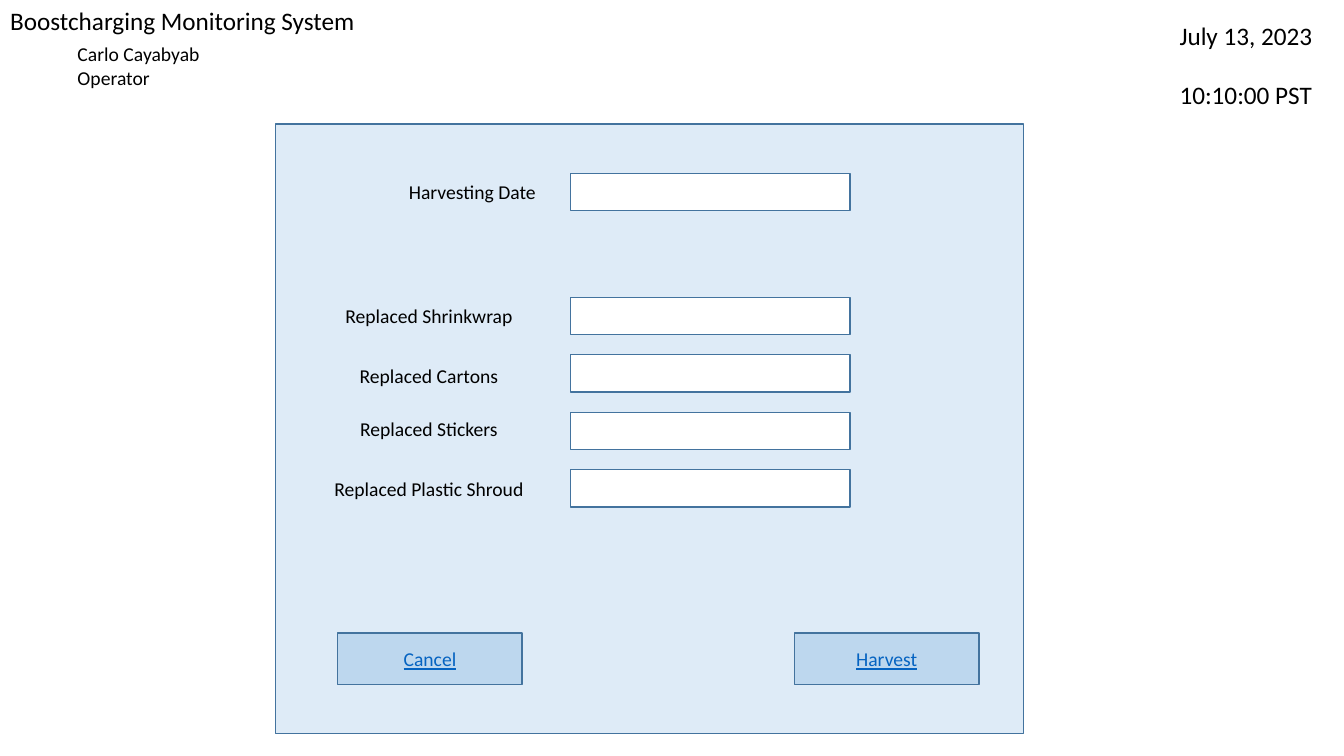
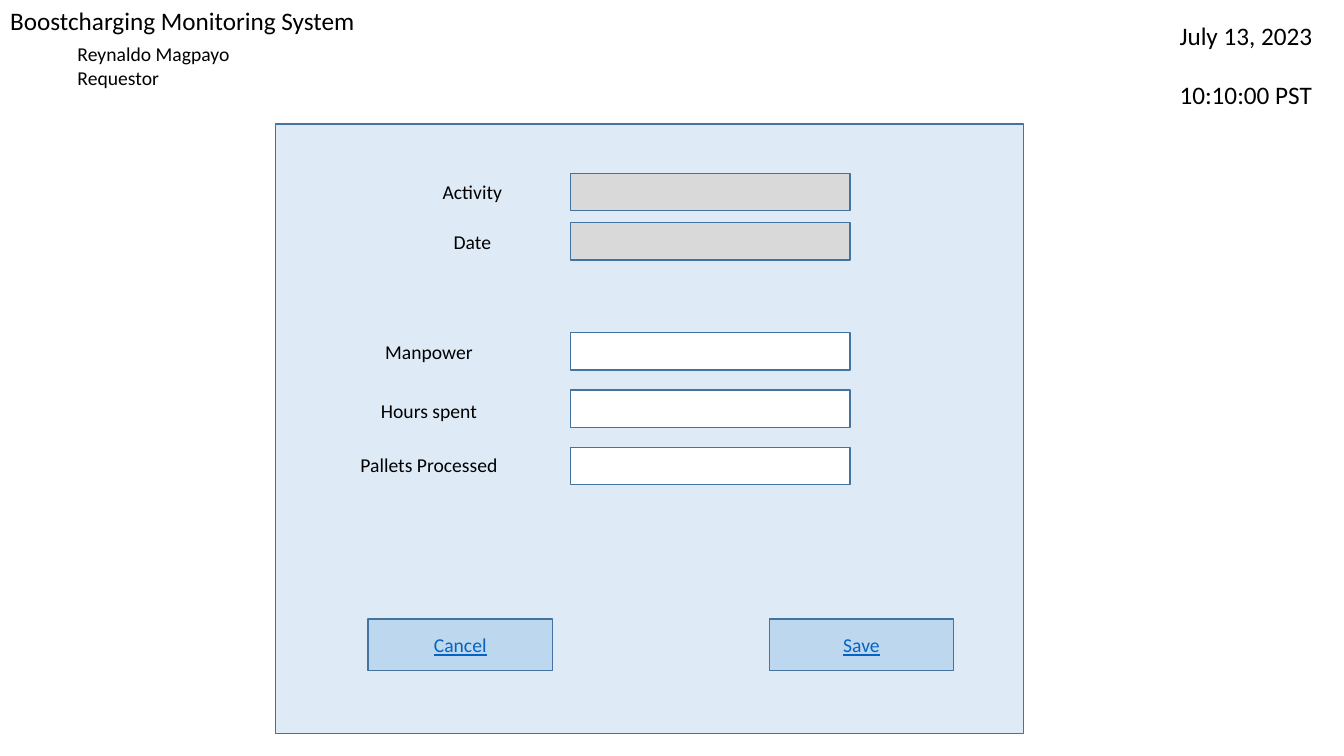
from dataclasses import dataclass

from pptx import Presentation
from pptx import util as u
from pptx.dml.color import RGBColor
from pptx.enum import shapes, text

PX = 9144  # EMU per px, 100 px to the inch


@dataclass(frozen=True)
class Theme:
    font: str = "Calibri"
    head: int = 18
    body: int = 14
    ink: str = "000000"
    link: str = "0563C1"
    edge: str = "43739E"
    panel: str = "DEEBF7"
    button: str = "BDD7EE"
    entry: str = "FFFFFF"
    locked: str = "D9D9D9"


@dataclass(frozen=True)
class Box:
    left: int
    top: int
    width: int
    height: int


@dataclass(frozen=True)
class Button:
    label: str
    left: int


@dataclass(frozen=True)
class Form:
    user: str
    role: str
    fixed: tuple[str, ...]
    fill: str
    first: int
    inputs: tuple[str, ...]
    base: int
    buttons: tuple[Button, ...]


THEME = Theme()
LEFT, CENTER = text.PP_ALIGN.LEFT, text.PP_ALIGN.CENTER

# Shared header and panel
TITLE = "Boostcharging Monitoring System"
STAMP = ("July 13, 2023", "10:10:00 PST")
HEAD = Box(0, 0, 997, 40)
CLOCK = Box(1160, 15, 169, 71)
USER = Box(67, 37, 268, 57)
PANEL = Box(273, 123, 742, 605)

# Form grid: upper rows sit closer together than the input rows
TOP, TIGHT, STEP = 172, 49, 57
NUDGE = (2, 4, 0, 2)  # label offset below the top of each input

FORMS = (
    Form("Carlo Cayabyab", "Operator",
         ("Harvesting Date",), THEME.entry, 295,
         ("Replaced Shrinkwrap", "Replaced Cartons",
          "Replaced Stickers", "Replaced Plastic Shroud"),
         628, (Button("Cancel", 335), Button("Harvest", 788))),
    Form("Reynaldo Magpayo", "Requestor",
         ("Activity", "Date"), THEME.locked, 330,
         ("Manpower", "Hours spent", "Pallets Processed"),
         614, (Button("Cancel", 365), Button("Save", 763))),
)


def place(box: Box) -> tuple[int, ...]:
    return tuple(v * PX for v in (box.left, box.top, box.width, box.height))


def assign(target, values: dict) -> None:
    for name, value in values.items():
        setattr(target, name, value)


def write(shape, lines: tuple[str, ...], size: int, align=LEFT,
          color: str = THEME.ink, gap: int = 0, **frame) -> None:
    """Fill a shape with one paragraph per line."""
    base = {"word_wrap": True, "vertical_anchor": text.MSO_ANCHOR.TOP,
            "auto_size": text.MSO_AUTO_SIZE.SHAPE_TO_FIT_TEXT}
    body = shape.text_frame
    assign(body, base | frame)
    for i, line in enumerate(lines):
        para = body.add_paragraph() if i else body.paragraphs[0]
        assign(para, {"alignment": align, "space_before": u.Pt(gap if i else 0)})
        run = para.add_run()
        run.text = line
        assign(run.font, {"name": THEME.font, "size": u.Pt(size),
                          "underline": color == THEME.link})
        run.font.color.rgb = RGBColor.from_string(color)


def note(slide, box: Box, lines: tuple[str, ...], size: int = THEME.body,
         **style) -> None:
    write(slide.shapes.add_textbox(*place(box)), lines, size, **style)


def rect(slide, box: Box, fill: str):
    shape = slide.shapes.add_shape(shapes.MSO_SHAPE.RECTANGLE, *place(box))
    shape.shadow.inherit = False
    shape.fill.solid()
    shape.fill.fore_color.rgb = RGBColor.from_string(fill)
    shape.line.color.rgb = RGBColor.from_string(THEME.edge)
    shape.line.width = u.Pt(1)
    return shape


def field(slide, label: str, area: Box, top: int, fill: str) -> None:
    rect(slide, Box(566, top, 277, 37), fill)
    note(slide, area, (label,), align=CENTER)


def header(slide, form: Form) -> None:
    title = slide.shapes.title
    spot = zip(("left", "top", "width", "height"), place(HEAD))
    assign(title, dict(spot))
    write(title, (TITLE,), THEME.head)
    note(slide, CLOCK, STAMP, THEME.head, gap=21)
    note(slide, USER, (form.user, form.role))


def build(deck, form: Form) -> None:
    slide = deck.slides.add_slide(deck.slide_layouts[5])
    rect(slide, PANEL, THEME.panel)
    header(slide, form)

    # Upper fields
    for i, label in enumerate(form.fixed):
        top = TOP + i * TIGHT
        field(slide, label, Box(393, top + 2, 151, 34), top, form.fill)

    # Input fields
    for i, (label, drop) in enumerate(zip(form.inputs, NUDGE)):
        top = form.first + i * STEP
        field(slide, label, Box(307, top + drop, 237, 34), top, THEME.entry)

    # Buttons
    for button in form.buttons:
        shape = rect(slide, Box(button.left, form.base, 183, 51), THEME.button)
        write(shape, (button.label,), THEME.body, CENTER, THEME.link,
              vertical_anchor=text.MSO_ANCHOR.MIDDLE,
              auto_size=text.MSO_AUTO_SIZE.NONE)


def main() -> None:
    deck = Presentation()
    assign(deck, {"slide_width": 1333 * PX, "slide_height": 750 * PX})
    for form in FORMS:
        build(deck, form)
    deck.save("out.pptx")


if __name__ == "__main__":
    main()
